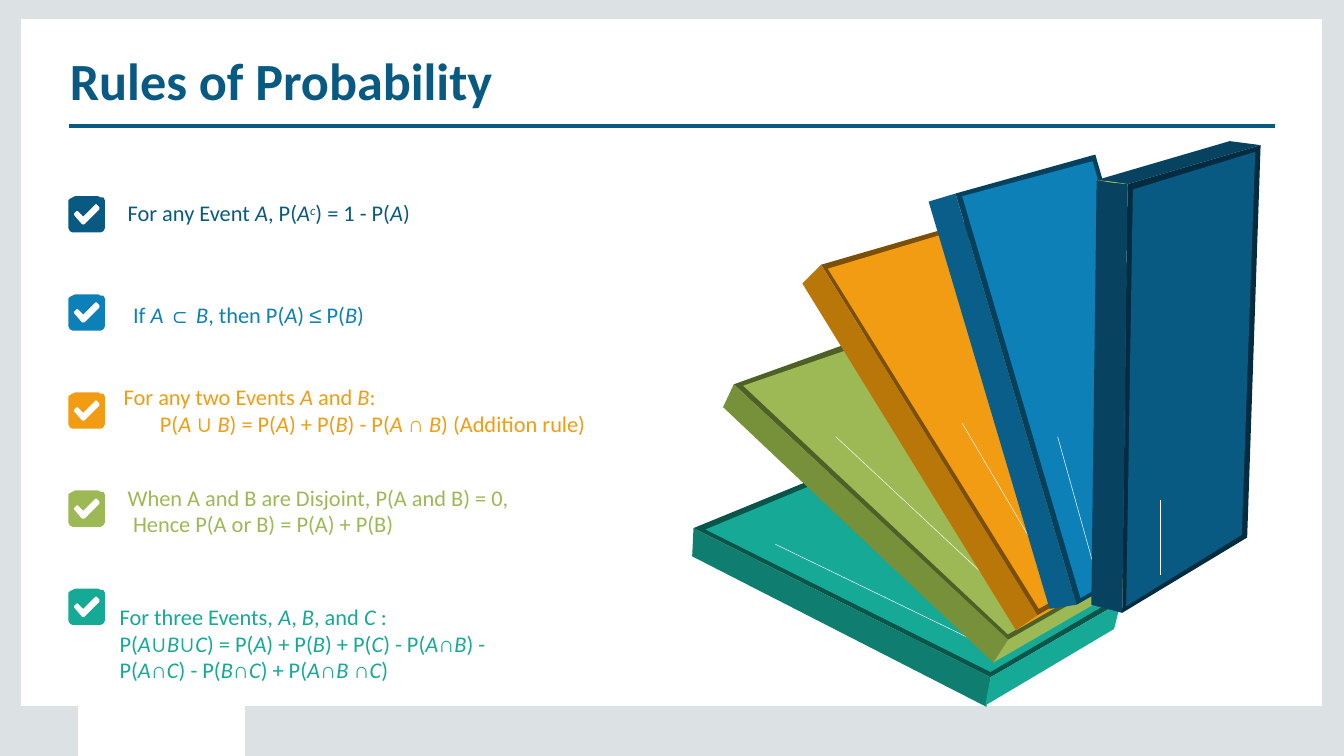
from lxml import etree
from pptx import Presentation
from pptx.dml.color import RGBColor
from pptx.enum.shapes import MSO_CONNECTOR
from pptx.oxml.ns import qn
from pptx.util import Cm, Pt

STRAIGHT = MSO_CONNECTOR.STRAIGHT
UNIT = Cm(2.54)  # all coordinates below count in this unit
SLIDE_W, SLIDE_H = 10, 5.625

THEME = {
    "font": "Calibri", "symbol_font": "Arial", "title": 28, "body": 12, "hairline": 0.25,
    "frame": "DCE2E3", "white": "FFFFFF",
    "navy": "095A82", "navy_edge": "042C41", "navy_spine": "074361", "glint": "AFC240",
    "blue": "0D80B8", "blue_edge": "05405D", "blue_spine": "095F8A",
    "orange": "F19C13", "orange_edge": "7B4F07", "orange_spine": "B97609",
    "green": "9CB955", "green_edge": "4F6027", "green_spine": "77913A",
    "teal": "16A995", "teal_edge": "0A544A", "teal_spine": "0F7E70",
}
SYMBOLS = "⊂∪∩≤"

# Rules: *italic*, ^superscript^, a newline is a line break
TITLE = "Rules of Probability"
FIRST_RULE = "For any Event *A*, P(*A*^c^) = 1 - P(*A*)"
# text, colour, left margin, first-line indent, space before in points
OTHER_RULES = [
    ("If *A* ⊂ *B*, then P(*A*) ≤ P(*B*)", "blue", 0.11, 0, 0),
    ("For any two Events *A* and *B*:", "orange", 0.04, 0, 29.7),
    ("P(*A* ∪ *B*) = P(*A*) + P(*B*) - P(*A* ∩ *B*) (Addition rule)", "orange", 0.31, 0, 0),
    ("When A and B are Disjoint, P(A and B) = 0,\nHence P(A or B) = P(A) + P(B)",
     "green", 0.11, -0.04, 25),
    ("For three Events, *A*, *B*, and *C* :", "teal", 0.01, 0, 35),
    ("P(*A*∪*B*∪*C*) = P(*A*) + P(*B*) + P(*C*) - P(*A*∩*B*) -\n"
     "P(*A*∩*C*) - P(*B*∩*C*) + P(*A*∩*B* ∩*C*)", "teal", 0.01, 0, 0),
]

# Slide border: left, top, right, bottom
FRAME = [(9.84, 0.14, 10, 5.25), (0, 0.14, 0.16, 5.25), (1.82, 5.25, 10, SLIDE_H),
         (0, 5.25, 0.58, SLIDE_H), (0, 0, 10, 0.14)]
TITLE_RULE = (0.51, 0.92, 9.49, 0.95)

# Books from back to front; two points make a highlight line
BOOKS = [
    ("teal_edge", [(6.21, 3.5), (5.16, 3.93), (7.37, 5.04), (8.34, 4.48)]),
    ("teal", [(6.21, 3.54), (5.25, 3.94), (7.37, 5), (8.26, 4.48)]),
    ("white", [(7.4, 4.84), (5.77, 4.05)]),
    ("teal_spine", [(5.16, 3.93), (5.15, 4.14), (7.34, 5.26), (7.37, 5.04)]),
    ("teal", [(8.34, 4.48), (7.37, 5.04), (7.33, 5.25), (8.29, 4.68)]),
    ("green", [(8.46, 4.21), (7.5, 4.76), (7.39, 4.93), (8.36, 4.37)]),
    ("green_edge", [(6.52, 2.48), (5.46, 2.86), (7.5, 4.76), (8.46, 4.21)]),
    ("green", [(6.52, 2.53), (5.53, 2.87), (7.5, 4.72), (8.4, 4.2)]),
    ("white", [(7.58, 4.52), (6.22, 3.25)]),
    ("green_spine", [(5.46, 2.86), (5.38, 3.03), (7.39, 4.93), (7.5, 4.76)]),
    ("orange_edge", [(7.18, 1.66), (6.11, 1.97), (7.72, 4.58), (8.67, 4.03)]),
    ("orange", [(7.16, 1.7), (6.16, 2), (7.73, 4.53), (8.63, 4.02)]),
    ("orange_spine", [(6.11, 1.97), (5.97, 2.11), (7.56, 4.69), (7.72, 4.58)]),
    ("orange", [(8.67, 4.03), (7.72, 4.58), (7.56, 4.69), (8.52, 4.14)]),
    ("white", [(7.87, 4.36), (7.16, 3.15)]),
    ("blue_spine", [(7.11, 1.44), (6.91, 1.5), (7.81, 4.53), (8.01, 4.5)]),
    ("blue_edge", [(8.15, 1.15), (7.11, 1.44), (8.01, 4.5), (8.96, 3.96)]),
    ("blue", [(8.13, 1.2), (7.16, 1.46), (8.04, 4.45), (8.92, 3.94)]),
    ("white", [(8.16, 4.29), (7.87, 3.25)]),
    ("navy_edge", [(9.38, 1.08), (8.39, 1.37), (8.35, 4.56), (9.28, 4)]),
    ("navy", [(9.34, 1.13), (8.43, 1.41), (8.38, 4.51), (9.24, 3.98)]),
    ("navy_spine", [(9.15, 1.05), (8.16, 1.34), (8.39, 1.37), (9.38, 1.08)]),
    ("navy_spine", [(8.16, 1.34), (8.12, 4.5), (8.35, 4.56), (8.39, 1.37)]),
    ("glint", [(8.16, 1.34), (8.28, 1.36), (8.39, 1.37), (8.26, 1.35)]),
    ("white", [(8.63, 3.72), (8.63, 4.28)]),
]

# Check box: outer outline and the tick cut out of it
CHECK_COLOURS = ["navy", "blue", "orange", "green", "teal"]
CHECK_LEFT, CHECK_TOP, CHECK_STEP = 0.51, 1.46, 0.73
BOX = [(0.22, 0), (0.05, 0), (0.03, 0.01), (0.01, 0.02), (0, 0.03), (0, 0.05),
       (0, 0.22), (0, 0.24), (0.01, 0.26), (0.03, 0.27), (0.05, 0.27),
       (0.22, 0.27), (0.24, 0.27), (0.26, 0.26), (0.27, 0.24), (0.27, 0.22),
       (0.27, 0.05), (0.27, 0.03), (0.26, 0.01), (0.24, 0.01)]
TICK = [(0.04, 0.14), (0.04, 0.13), (0.06, 0.11), (0.07, 0.11), (0.11, 0.15),
        (0.2, 0.06), (0.21, 0.06), (0.23, 0.08), (0.23, 0.1), (0.12, 0.21), (0.1, 0.21)]

prs = Presentation()
prs.slide_width, prs.slide_height = u_size = int(SLIDE_W * UNIT), int(SLIDE_H * UNIT)
s = prs.slides.add_slide(prs.slide_layouts[6])


def u(value):
    return round(value * UNIT)


def rgb(name):
    return RGBColor.from_string(THEME[name])


def add_outline(colour, *contours):
    """One filled freeform; further contours are holes."""
    scaled = [[(u(x), u(y)) for x, y in contour] for contour in contours]
    fb = s.shapes.build_freeform(*scaled[0][0])
    for i, points in enumerate(scaled):
        if i:
            fb.move_to(*points[0])
        fb.add_line_segments(points[1:], close=True)
    sp = fb.convert_to_shape()
    sp.shadow.inherit = False
    sp.fill.solid()
    sp.fill.fore_color.rgb = rgb(colour)
    sp.line.fill.background()


def add_bar(colour, left, top, right, bottom):
    add_outline(colour, [(left, bottom), (right, bottom), (right, top), (left, top)])


def add_highlight(colour, start, end):
    line = s.shapes.add_connector(STRAIGHT, *map(u, start + end))
    line.line.color.rgb = rgb(colour)
    line.line.width = Pt(THEME["hairline"])
    etree.SubElement(line._element.spPr, qn("a:effectLst"))


def add_runs(p, text, colour, size, bold=False):
    """Split marked-up text into runs that share one format."""
    italic = raised = False
    pieces = []
    for ch in text:
        if ch == "*":
            italic = not italic
        elif ch == "^":
            raised = not raised
        else:
            style = (italic or raised, raised, ch in SYMBOLS)
            if ch != "\n" and pieces and pieces[-1][1] == style:
                pieces[-1][0] += ch
            else:
                pieces.append([ch, None if ch == "\n" else style])
    for piece, style in pieces:
        if style is None:
            p.add_line_break()
            continue
        slanted, raised, symbol = style
        r = p.add_run()
        r.text = piece
        formats = {"size": Pt(size), "bold": bold, "italic": slanted,
                   "name": THEME["symbol_font" if symbol else "font"]}
        for key, value in formats.items():
            setattr(r.font, key, value)
        r.font.color.rgb = rgb(colour)
        if raised:
            r._r.get_or_add_rPr().set("baseline", "24000")


def add_text(box, paragraphs, size, bold=False):
    tf = s.shapes.add_textbox(*map(u, box)).text_frame
    formats = {"word_wrap": True, "margin_left": 0, "margin_right": 0,
               "margin_top": u(0.01), "margin_bottom": 0}
    for key, value in formats.items():
        setattr(tf, key, value)
    for i, (text, colour, margin, indent, before) in enumerate(paragraphs):
        p = tf.add_paragraph() if i else tf.paragraphs[0]
        pPr = p._p.get_or_add_pPr()
        pPr.set("marL", str(u(margin)))
        pPr.set("indent", str(u(indent)))
        if before:
            p.space_before = Pt(before)
        add_runs(p, text, colour, size, bold)


# Border and title
for bar in FRAME:
    add_bar("frame", *bar)
add_text((0.51, 0.35, 4, 0.48), [(TITLE, "navy", 0.01, 0, 0)], THEME["title"], bold=True)

# Fan of books
for colour, points in BOOKS:
    if len(points) == 2:
        add_highlight(colour, *points)
    else:
        add_outline(colour, points)

# Rules and their check boxes
add_text((0.94, 1.47, 2.4, 0.21), [(FIRST_RULE, "navy", 0.01, 0, 0)], THEME["body"])
add_text((0.88, 2.23, 4.85, 2.86), OTHER_RULES, THEME["body"])
for i, colour in enumerate(CHECK_COLOURS):
    top = CHECK_TOP + i * CHECK_STEP
    add_outline(colour, *[[(CHECK_LEFT + x, top + y) for x, y in part] for part in (BOX, TICK)])

# Line under the title
add_bar("navy", *TITLE_RULE)

prs.save("out.pptx")
